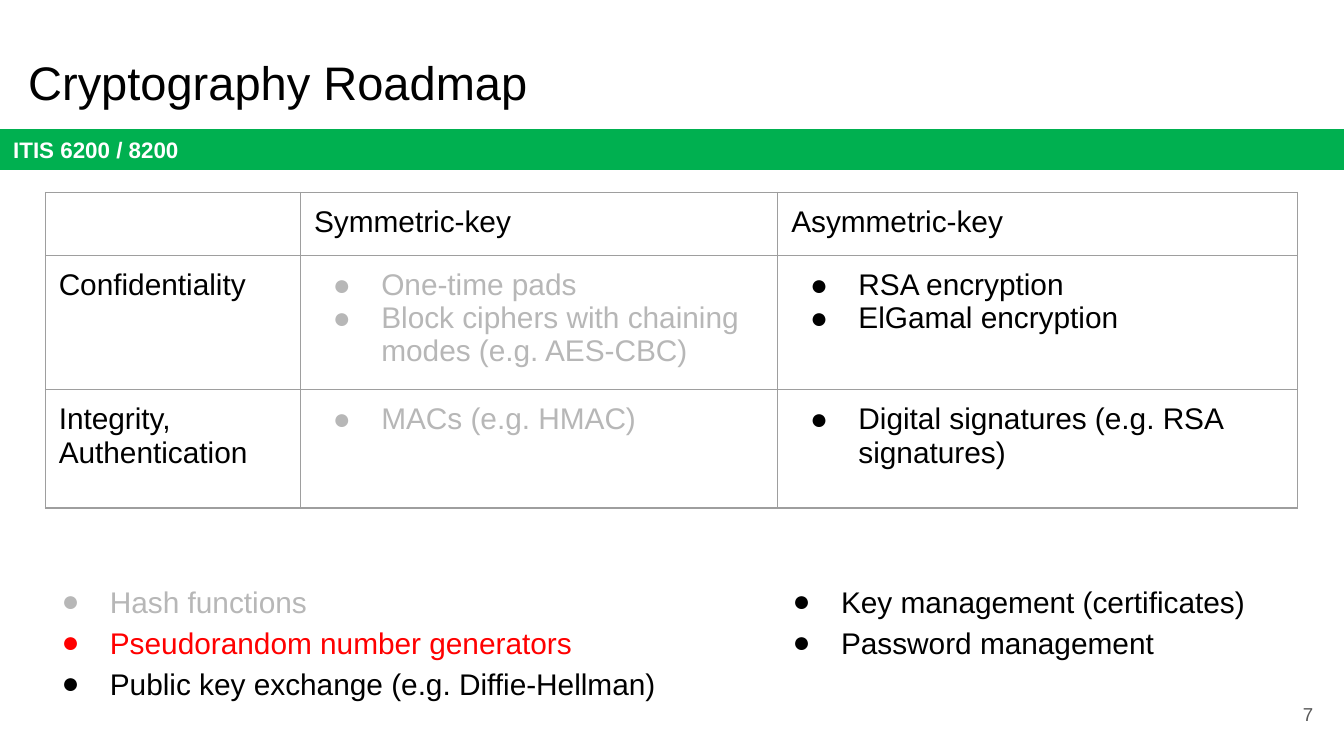
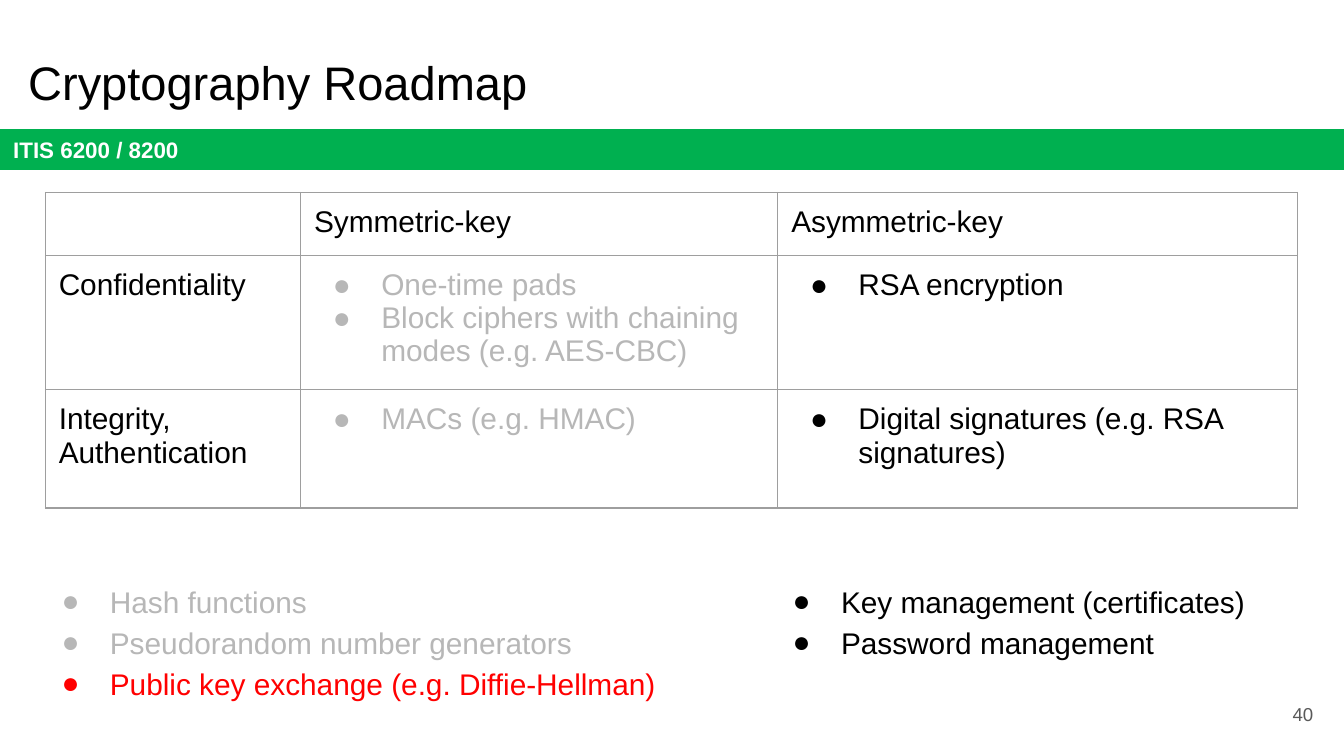
from dataclasses import dataclass

from lxml import etree
from pptx import Presentation
from pptx.dml.color import RGBColor
from pptx.enum.shapes import MSO_SHAPE
from pptx.enum.text import MSO_ANCHOR, PP_ALIGN
from pptx.oxml.ns import qn
from pptx.util import Pt

RECT = MSO_SHAPE.RECTANGLE
TOP, MIDDLE = MSO_ANCHOR.TOP, MSO_ANCHOR.MIDDLE
LEFT, RIGHT = PP_ALIGN.LEFT, PP_ALIGN.RIGHT


@dataclass(frozen=True)
class Theme:
    font: str = "Arial"
    black: str = "000000"
    white: str = "FFFFFF"
    done: str = "B7B7B7"
    current: str = "FF0000"
    band: str = "00B050"
    grid: str = "9E9E9E"
    number: str = "595959"
    title_size: float = 25.2
    body_size: float = 16
    band_size: float = 12
    number_size: float = 10
    inset: float = 7.2
    hanging: float = 25.9
    body_spacing: float = 1.15


T = Theme()


def write(tf, items, size=T.body_size, bullets=False, spacing=None, align=LEFT, bold=False):
    """Fill a text frame with one paragraph per (text, colour) item."""
    tf.word_wrap = True
    for i, (text, color) in enumerate(items):
        p = tf.paragraphs[0] if i == 0 else tf.add_paragraph()
        if bullets:
            pPr = p._p.get_or_add_pPr()
            pPr.set("marL", str(Pt(36)))
            pPr.set("indent", str(-Pt(T.hanging)))
            clr = etree.SubElement(pPr, qn("a:buClr"))
            etree.SubElement(clr, qn("a:srgbClr"), val=color)
            etree.SubElement(pPr, qn("a:buFont"), typeface=T.font)
            etree.SubElement(pPr, qn("a:buChar"), char="●")
        p.alignment = align
        if spacing:
            p.line_spacing = spacing
        for n, line in enumerate(text.split("\n") if text else []):
            if n:
                p.add_line_break()
            r = p.add_run()
            r.text = line
            r.font.name = T.font
            r.font.size = Pt(size)
            r.font.bold = bold
            r.font.color.rgb = RGBColor.from_string(color)
        etree.SubElement(p._p, qn("a:endParaRPr"), sz=str(int(size * 100)))


def text_box(s, x, y, w, h, items, anchor=TOP, **style):
    """Add a text box with even insets."""
    tf = s.shapes.add_textbox(Pt(x), Pt(y), Pt(w), Pt(h)).text_frame
    tf.margin_left = tf.margin_right = tf.margin_top = tf.margin_bottom = Pt(T.inset)
    tf.vertical_anchor = anchor
    write(tf, items, **style)


# Content: each slide has its number, asymmetric ciphers and topic colours
COLUMNS = [136.8, 255.6, 278.6]
ROWS = [29.5, 63.4, 63.4]
TOPICS = ["Hash functions", "Pseudorandom number generators",
          "Public key exchange (e.g. Diffie-Hellman)"]
MANAGEMENT = ["Key management (certificates)", "Password management"]
SLIDES = [
    ("7", ["RSA encryption", "ElGamal encryption"], [T.done, T.current, T.black]),
    ("40", ["RSA encryption"], [T.done, T.done, T.current]),
]

prs = Presentation()
prs.slide_width, prs.slide_height = Pt(720), Pt(405)

for number, ciphers, topic_colors in SLIDES:
    s = prs.slides.add_slide(prs.slide_layouts[6])

    # Course band
    sp = s.shapes.add_shape(RECT, 0, Pt(69.2), Pt(720), Pt(21.8))
    sp.shadow.inherit = False
    sp.fill.solid()
    sp.fill.fore_color.rgb = RGBColor.from_string(T.band)
    sp.line.fill.background()
    tf = sp.text_frame
    tf.margin_left = tf.margin_right = tf.margin_top = tf.margin_bottom = Pt(T.inset)
    tf.vertical_anchor = MIDDLE
    write(tf, [("ITIS 6200 / 8200", T.white)], T.band_size, bold=True)

    # Title
    text_box(s, 8, 21.6, 671, 45.4, [("Cryptography Roadmap", T.black)], size=T.title_size)

    # Table of schemes by goal and key type
    grid = [
        [[""], ["Symmetric-key"], ["Asymmetric-key"]],
        [["Confidentiality"],
         ["One-time pads", "Block ciphers with chaining modes (e.g. AES-CBC)"],
         ciphers],
        [["Integrity,\nAuthentication"],
         ["MACs (e.g. HMAC)"],
         ["Digital signatures (e.g. RSA signatures)"]],
    ]
    table = s.shapes.add_table(len(ROWS), len(COLUMNS), Pt(24.3), Pt(103.1),
                               Pt(sum(COLUMNS)), Pt(sum(ROWS))).table
    table.first_row = table.horz_banding = False
    for column, width in zip(table.columns, COLUMNS):
        column.width = Pt(width)
    for row, height in zip(table.rows, ROWS):
        row.height = Pt(height)
    for i, row in enumerate(grid):
        for j, lines in enumerate(row):
            cell = table.cell(i, j)
            cell.margin_left = cell.margin_right = Pt(T.inset)
            cell.margin_top = cell.margin_bottom = Pt(T.inset)
            tcPr = cell._tc.get_or_add_tcPr()
            for side in ("lnL", "lnR", "lnT", "lnB"):
                ln = etree.SubElement(tcPr, qn("a:" + side), w=str(Pt(0.75)))
                fill = etree.SubElement(ln, qn("a:solidFill"))
                etree.SubElement(fill, qn("a:srgbClr"), val=T.grid)
            cell.fill.background()
            color = T.done if i and j == 1 else T.black
            write(cell.text_frame, [(line, color) for line in lines],
                  bullets=bool(i and j))

    # Topic lists
    text_box(s, 15.8, 302.4, 344.2, 92.2, list(zip(TOPICS, topic_colors)),
             bullets=True, spacing=T.body_spacing)
    text_box(s, 407.5, 302.4, 271.4, 56.2, [(topic, T.black) for topic in MANAGEMENT],
             bullets=True, spacing=T.body_spacing)

    # Slide number
    text_box(s, 667.4, 367.2, 43.2, 31, [(number, T.number)], anchor=MIDDLE,
             size=T.number_size, align=RIGHT)

prs.save("out.pptx")
